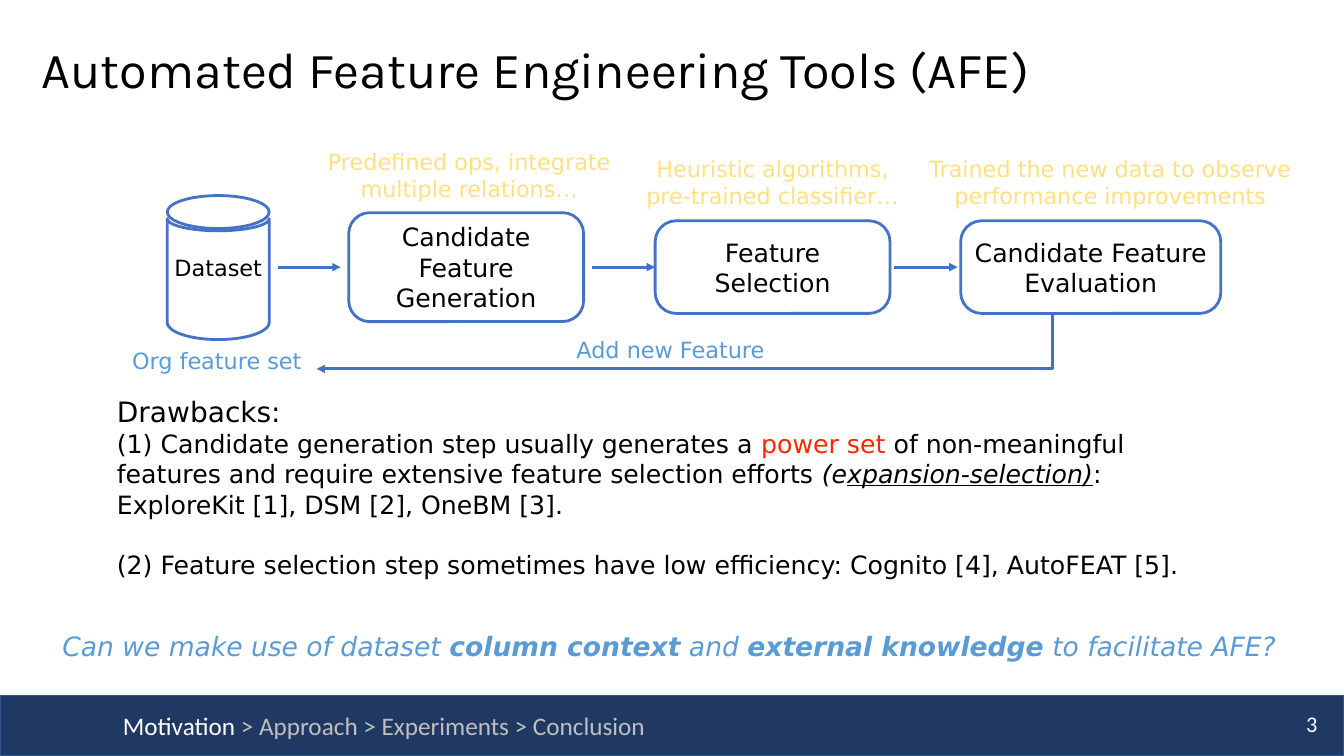
import math
from lxml import etree
from pptx import Presentation
from pptx import util as u
from pptx.dml.color import RGBColor
from pptx.enum import shapes, text
from pptx.oxml.ns import qn

BLUE, SKY, YELLOW = "4472C4", "5B9BD5", "FFE080"
BLACK, WHITE, GREY, RED = "000000", "FFFFFF", "BFBFBF", "FF2600"
LEFT, CENTER, RIGHT = text.PP_ALIGN.LEFT, text.PP_ALIGN.CENTER, text.PP_ALIGN.RIGHT


def paint(shape, fill, line, width):
    shape.shadow.inherit = False
    shape.fill.solid()
    shape.fill.fore_color.rgb = RGBColor.from_string(fill)
    shape.line.color.rgb = RGBColor.from_string(line)
    shape.line.width = u.Pt(width)


def write(shape, paragraphs, size, color, align=LEFT, font="DejaVu Sans", wrap=True,
          anchor=text.MSO_ANCHOR.TOP):
    """Each paragraph is a list of (words, format); format may hold color, size, bold, italic, underline."""
    frame = shape.text_frame
    frame.word_wrap = wrap
    frame.vertical_anchor = anchor
    frame.margin_left = frame.margin_right = frame.margin_top = frame.margin_bottom = u.Pt(3.6)
    for index, pieces in enumerate(paragraphs):
        paragraph = frame.paragraphs[0] if index == 0 else frame.add_paragraph()
        paragraph.alignment = align
        for words, look in pieces:
            run = paragraph.add_run()
            run.text = words
            run.font.name = font
            run.font.size = u.Pt(look.get("size", size))
            run.font.color.rgb = RGBColor.from_string(look.get("color", color))
            run.font.bold = look.get("bold", False)
            run.font.italic = look.get("italic", False)
            run.font.underline = look.get("underline", False)
    return frame


presentation = Presentation()
presentation.slide_width, presentation.slide_height = u.Pt(960), u.Pt(540)
slide = presentation.slides.add_slide(presentation.slide_layouts[6])
canvas = slide.shapes

# Footer bar
bar = canvas.add_shape(shapes.MSO_SHAPE.RECTANGLE, 0, u.Pt(496.8), u.Pt(960), u.Pt(43.2))
paint(bar, "203864", "32538F", 1)

# Title
title = canvas.add_textbox(u.Pt(26), u.Pt(18), u.Pt(911.5), u.Pt(67.7))
frame = write(title, [[("Automated Feature Engineering Tools (AFE)", {})]], 36, BLACK,
              font="Karla", anchor=text.MSO_ANCHOR.MIDDLE)
frame.paragraphs[0].line_spacing = 0.9

# Page number and section trail
number = canvas.add_textbox(u.Pt(927.4), u.Pt(504), u.Pt(17.3), u.Pt(29.5))
write(number, [[("3", {})]], 16, WHITE, RIGHT, "Calibri", wrap=False)
trail = canvas.add_textbox(u.Pt(84.2), u.Pt(504), u.Pt(502), u.Pt(32.4))
write(trail, [[("Motivation ", {"color": WHITE}), ("> Approach > Experiments > Conclusion", {})]],
      18, GREY, font="Calibri")

# Dataset cylinder: lid ellipse above a body with curved top and bottom
center_x, radius = 155.9, 36.4


def arc(middle_y, height, start, stop):
    angles = [math.radians(start + (stop - start) * step / 36) for step in range(37)]
    return [(u.Pt(center_x + radius * math.cos(angle)), u.Pt(middle_y + height * math.sin(angle)))
            for angle in angles]


lid = arc(151.5, 11.8, 0, 360)
body = arc(156.2, 8.7, 0, 180) + arc(230.4, 12.2, 180, 0)
builder = canvas.build_freeform(*lid[0])
builder.add_line_segments(lid[1:], close=True)
builder.move_to(*body[0])
builder.add_line_segments(body[1:], close=True)
dataset = builder.convert_to_shape()
paint(dataset, WHITE, BLUE, 2)
write(dataset, [[("Dataset", {})]], 16, BLACK, CENTER, anchor=text.MSO_ANCHOR.MIDDLE)

# Pipeline steps, centred on one axis, with their captions
axis_y = 190.8
steps = [
    ("Candidate Feature Generation", 249.1, 167.8, 77.8,
     "Predefined ops, integrate multiple relations…", 218.2, 102.2, 234),
    ("Feature Selection", 468, 167.8, 66.2,
     "Heuristic algorithms, pre-trained classifier…", 455.8, 107.3, 192.2),
    ("Candidate Feature Evaluation", 686.2, 185.8, 66.2,
     "Trained the new data to observe performance improvements", 652.3, 107.3, 281.5),
]
for name, left, width, height, caption, caption_left, caption_top, caption_width in steps:
    box = canvas.add_shape(shapes.MSO_SHAPE.ROUNDED_RECTANGLE, u.Pt(left),
                           u.Pt(axis_y - height / 2), u.Pt(width), u.Pt(height))
    box.adjustments[0] = 15 / height
    paint(box, WHITE, BLUE, 2)
    write(box, [[(name, {})]], 18, BLACK, CENTER, anchor=text.MSO_ANCHOR.MIDDLE)
    note = canvas.add_textbox(u.Pt(caption_left), u.Pt(caption_top), u.Pt(caption_width), u.Pt(45.4))
    write(note, [[(caption, {})]], 16, YELLOW, CENTER)

# Flow arrows and the feedback loop
return_y = 263.5
connections = [
    (198.7, axis_y, 243.4, axis_y, True),
    (422.6, axis_y, 468, axis_y, True),
    (638.6, axis_y, 684, axis_y, True),
    (752.4, return_y, 226.1, return_y, True),
    (751.7, 223.9, 751.7, return_y, False),
]
for x1, y1, x2, y2, pointed in connections:
    connector = canvas.add_connector(shapes.MSO_CONNECTOR.STRAIGHT,
                                     u.Pt(x1), u.Pt(y1), u.Pt(x2), u.Pt(y2))
    connector.line.color.rgb = RGBColor.from_string(BLUE)
    connector.line.width = u.Pt(2)
    properties = connector._element.spPr
    if pointed:
        etree.SubElement(properties.find(qn("a:ln")), qn("a:tailEnd"), type="triangle")
    etree.SubElement(properties, qn("a:effectLst"))

# Loop labels
for label, left, top, width in [("Org feature set", 90.7, 244.1, 130.3),
                                ("Add new Feature", 408.2, 236.9, 144)]:
    tag = canvas.add_textbox(u.Pt(left), u.Pt(top), u.Pt(width), u.Pt(25.9))
    write(tag, [[(label, {})]], 16, SKY, wrap=False)

# Drawbacks
drawbacks = canvas.add_textbox(u.Pt(79.9), u.Pt(278.6), u.Pt(804.2), u.Pt(141.8))
frame = write(drawbacks, [
    [("Drawbacks:", {"size": 20})],
    [("(1) Candidate generation step usually generates a ", {}),
     ("power set ", {"color": RED}),
     ("of non-meaningful features and require extensive feature selection efforts ", {}),
     ("(e", {"italic": True}),
     ("xpansion-selection)", {"italic": True, "underline": True}),
     (": ExploreKit [1], DSM [2], OneBM [3].", {})],
    [("(2) Feature selection step sometimes have low efficiency: Cognito [4], AutoFEAT [5].", {})],
], 18, BLACK)
frame.paragraphs[2].space_before = u.Pt(21.5)

# Closing question
question = canvas.add_textbox(u.Pt(41), u.Pt(446.4), u.Pt(877.7), u.Pt(30.2))
plain, strong = {"italic": True}, {"italic": True, "bold": True}
write(question, [[("Can we make use of dataset ", plain), ("column context", strong), (" and ", plain),
                  ("external knowledge", strong), (" to facilitate AFE?", plain)]],
      19, SKY, wrap=False)

presentation.save("out.pptx")
